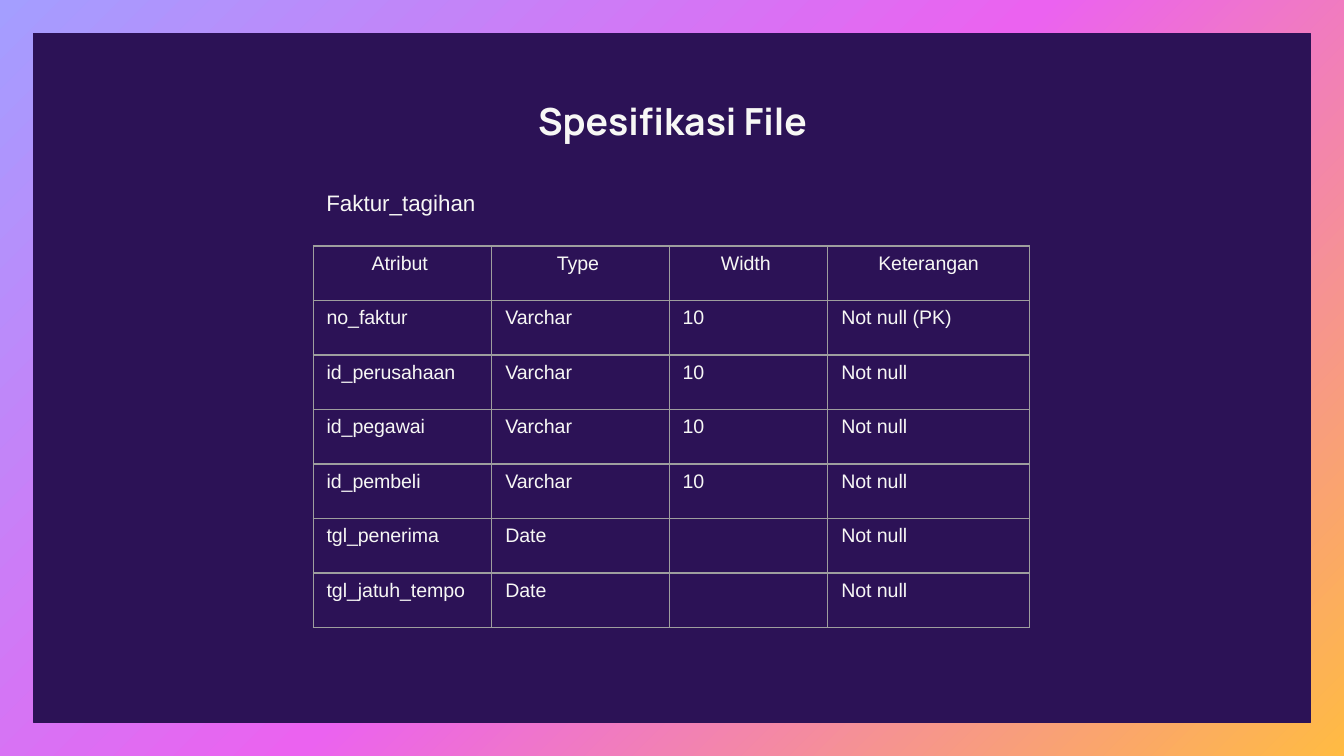
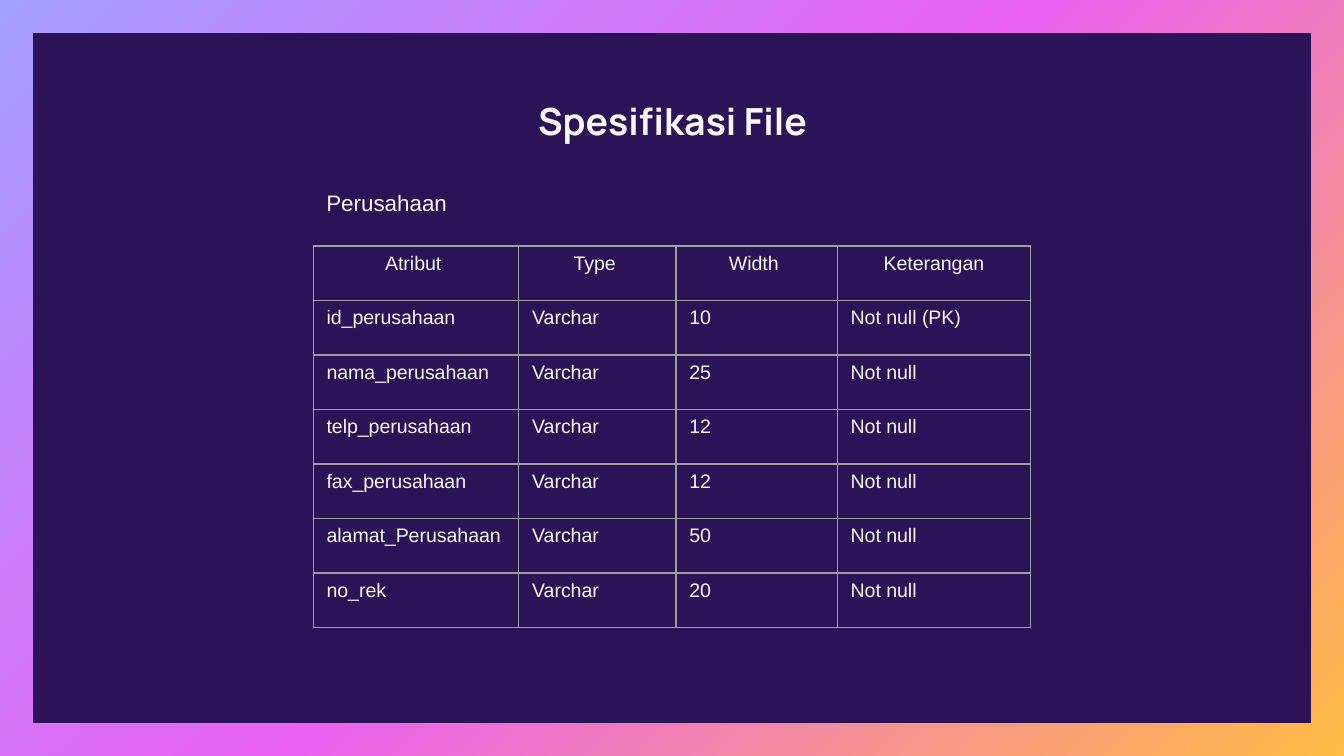
from copy import deepcopy

from lxml import etree
from pptx import Presentation
from pptx.dml.color import RGBColor
from pptx.enum.shapes import MSO_SHAPE
from pptx.enum.text import MSO_ANCHOR, MSO_AUTO_SIZE, PP_ALIGN
from pptx.oxml.ns import qn
from pptx.util import Inches, Pt

RECTANGLE = MSO_SHAPE.RECTANGLE
MIDDLE = MSO_ANCHOR.MIDDLE
NO_FIT, GROW = MSO_AUTO_SIZE.NONE, MSO_AUTO_SIZE.SHAPE_TO_FIT_TEXT
LEFT, CENTER = PP_ALIGN.LEFT, PP_ALIGN.CENTER

NAVY = RGBColor(0x2C, 0x12, 0x56)
IVORY = RGBColor(0xF7, 0xF7, 0xF5)
GRAY = RGBColor(0x9E, 0x9E, 0x9E)
BACKDROP = [
    (0, RGBColor(0xA4, 0x9E, 0xFF)),
    (0.5, RGBColor(0xEB, 0x62, 0xF0)),
    (1, RGBColor(0xFF, 0xBB, 0x43)),
]

TITLE = "Spesifikasi File"
HEADER = ("Atribut ", "Type ", "Width ", "Keterangan")
MARGIN = Inches(0.25)
TABLE_LEFT, TABLE_TOP, TABLE_HEIGHT = Inches(2.33), Inches(1.83), Inches(2.84)

# Each file: name, column widths, rows of attribute, type, width and remark
FILES = [
    ("Faktur_tagihan", (1.33, 1.32, 1.18, 1.5), [
        ("no_faktur", "Varchar", "10", "Not null (PK)"),
        ("id_perusahaan", "Varchar", "10", "Not null"),
        ("id_pegawai", "Varchar", "10", "Not null"),
        ("id_pembeli", "Varchar", "10", "Not null"),
        ("tgl_penerima", "Date", "", "Not null"),
        ("tgl_jatuh_tempo", "Date", "", "Not null"),
    ]),
    ("Perusahaan", (1.53, 1.17, 1.2, 1.44), [
        ("id_perusahaan", "Varchar", "10", "Not null (PK)"),
        ("nama_perusahaan", "Varchar", "25", "Not null"),
        ("telp_perusahaan", "Varchar", "12", "Not null"),
        ("fax_perusahaan", "Varchar", "12", "Not null"),
        ("alamat_Perusahaan", "Varchar", "50", "Not null"),
        ("no_rek", "Varchar", "20", "Not null"),
    ]),
]


def write(frame, text, size, font="Arial", align=LEFT, bold=False):
    para = frame.paragraphs[0]
    para.alignment = align
    span = para.add_run()
    span.text = text
    span.font.size = Pt(size)
    span.font.name = font
    span.font.bold = bold
    span.font.color.rgb = IVORY


def outline_cell(cell):
    properties = cell._tc.get_or_add_tcPr()
    borders = []
    for side in ("a:lnL", "a:lnR", "a:lnT", "a:lnB"):
        border = etree.Element(qn(side), w=str(Pt(0.75)))
        solid = etree.SubElement(border, qn("a:solidFill"))
        etree.SubElement(solid, qn("a:srgbClr"), val=str(GRAY))
        borders.append(border)
    # Borders come before the cell fill
    properties[0:0] = borders


# Widescreen deck, 16 to 9
deck = Presentation()
deck.slide_width = Inches(10)
deck.slide_height = deck.slide_width * 9 // 16
layout = deck.slide_layouts[5]

# Shared gradient backdrop
backdrop = layout.background.fill
backdrop.gradient()
backdrop.gradient_angle = 315
stop_list = next(layout.element.iter(qn("a:gsLst")))
stop_list.append(deepcopy(stop_list[-1]))
for stop, (position, color) in zip(backdrop.gradient_stops, BACKDROP):
    stop.position = position
    stop.color.rgb = color

pages = [deck.slides.add_slide(layout) for _ in FILES]

# Shared panel, drawn once and moved to the back of the layout
panel = pages[0].shapes.add_shape(
    RECTANGLE, MARGIN, MARGIN,
    deck.slide_width - 2 * MARGIN, deck.slide_height - 2 * MARGIN)
panel.shadow.inherit = False
panel.fill.solid()
panel.fill.fore_color.rgb = NAVY
panel.line.color.rgb = NAVY
panel.line.width = Pt(0.75)
layout.element.cSld.spTree.insert(2, panel.element)

for page, (name, widths, rows) in zip(pages, FILES):
    # Title
    title = page.shapes.title
    title.left, title.top = Inches(0.79), Inches(0.59)
    title.width, title.height = Inches(8.43), Inches(0.62)
    frame = title.text_frame
    frame.auto_size = NO_FIT
    frame.vertical_anchor = MIDDLE
    frame.margin_left = frame.margin_right = Inches(0.1)
    frame.margin_top = frame.margin_bottom = Inches(0.1)
    write(frame, TITLE, 20, "Manrope", CENTER, True)

    # File name
    box = page.shapes.add_textbox(
        TABLE_LEFT, Inches(1.36), Inches(1.34), Inches(0.3))
    box.text_frame.word_wrap = True
    box.text_frame.auto_size = GROW
    box.text_frame.vertical_anchor = MIDDLE
    write(box.text_frame, name, 12)

    # Attribute table
    lines = [HEADER] + rows
    table = page.shapes.add_table(
        len(lines), len(HEADER), TABLE_LEFT, TABLE_TOP,
        Inches(sum(widths)), TABLE_HEIGHT).table
    table.first_row = table.horz_banding = False
    for column, width in zip(table.columns, widths):
        column.width = Inches(width)
    for row_index, line in enumerate(lines):
        for column_index, text in enumerate(line):
            cell = table.cell(row_index, column_index)
            cell.fill.background()
            outline_cell(cell)
            if text:
                align = CENTER if line is HEADER else LEFT
                write(cell.text_frame, text, 10.5, align=align)

deck.save("out.pptx")
